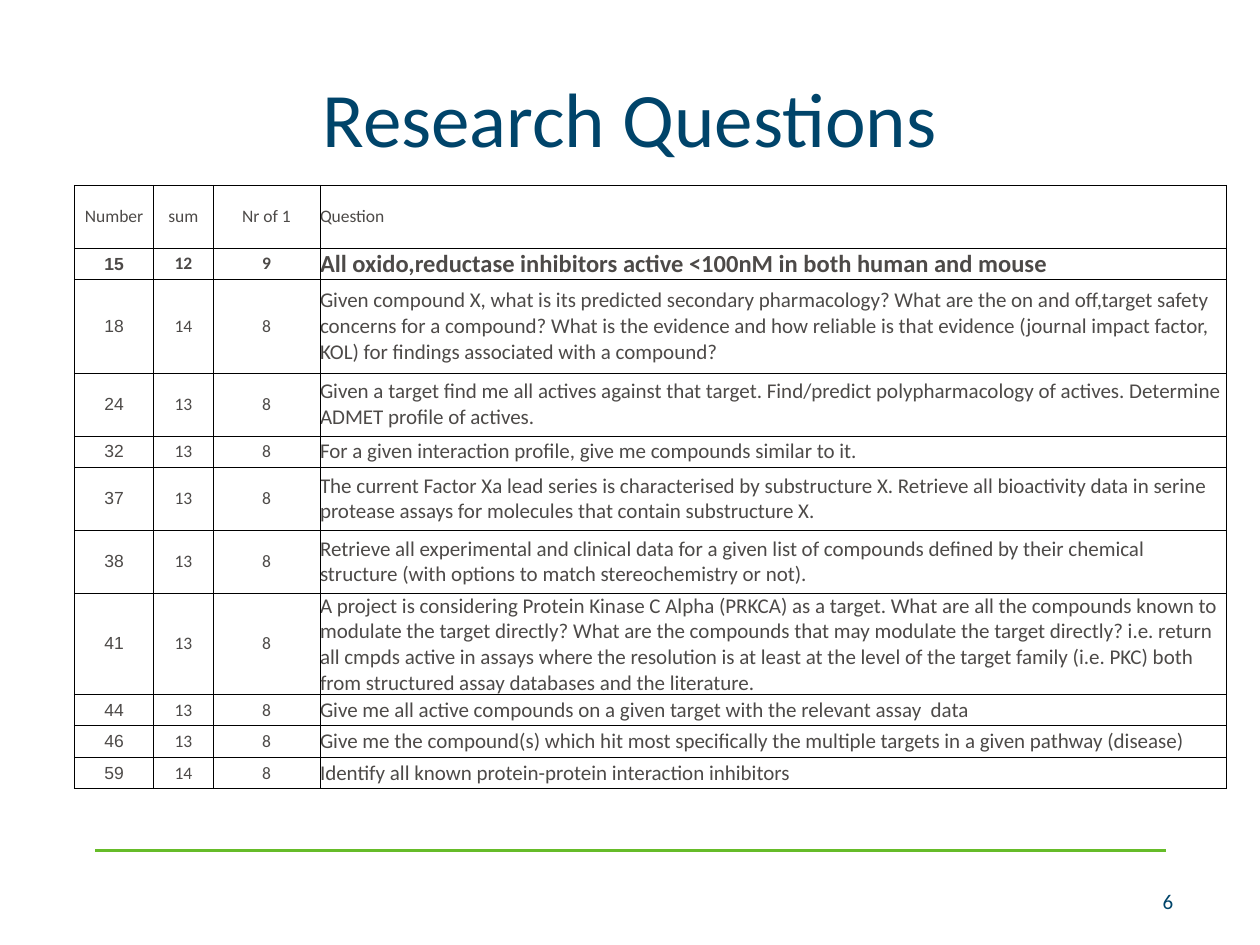
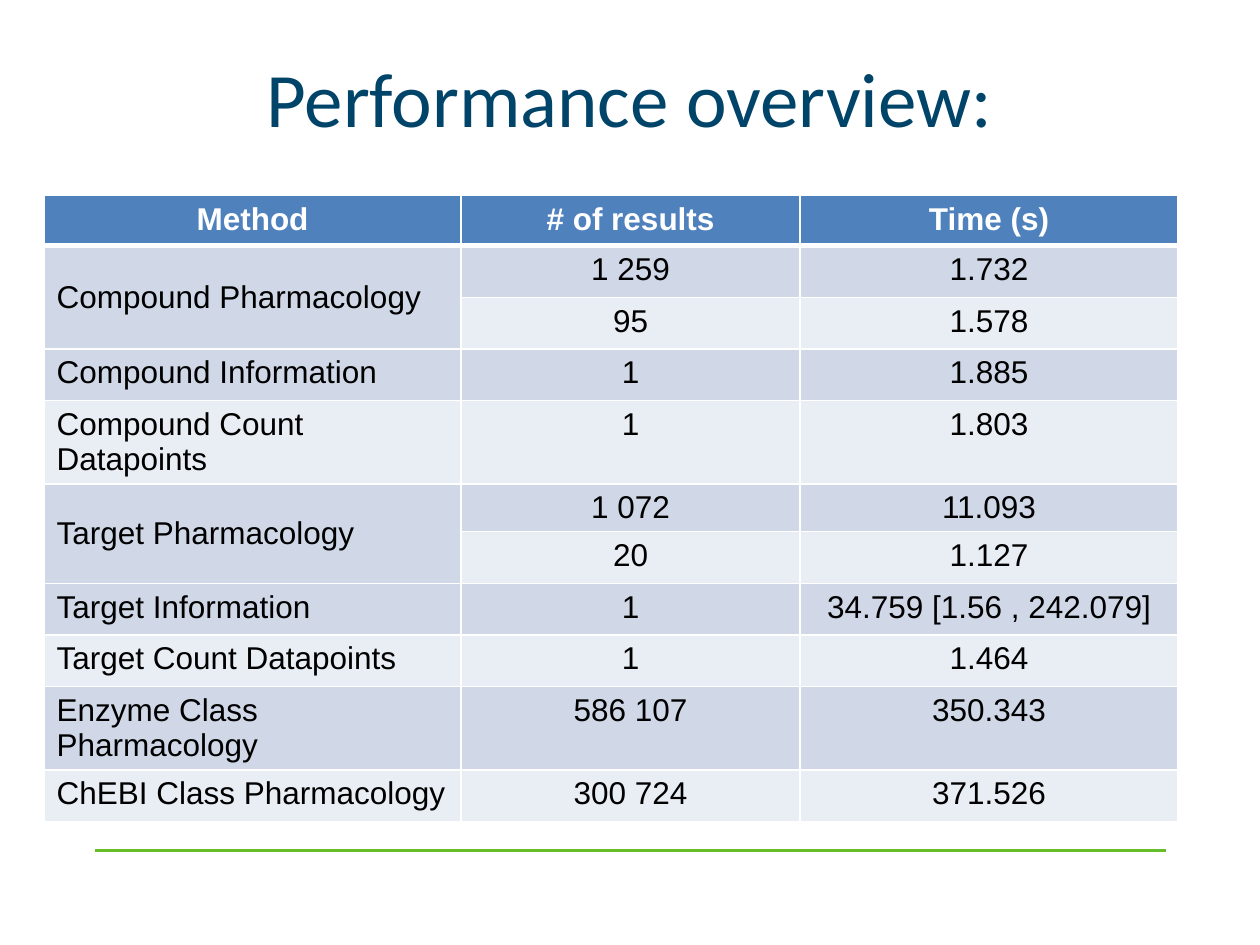
from dataclasses import dataclass

from lxml.etree import SubElement
from pptx import Presentation
from pptx.dml.color import RGBColor
from pptx.enum.shapes import MSO_CONNECTOR
from pptx.enum.text import MSO_ANCHOR, MSO_AUTO_SIZE, PP_ALIGN
from pptx.oxml.ns import qn
from pptx.util import Inches, Pt

COLUMNS, ROWS = 100, 75
TITLE_ONLY = 5

QUESTION_HEADER = ("Number", "sum", "Nr of 1", "Question")
QUESTIONS = [
    (15, 12, 9, "All oxido,reductase inhibitors active <100nM in both human and mouse"),
    (18, 14, 8, "Given compound X, what is its predicted secondary pharmacology? What are the on and "
                "off,target safety concerns for a compound? What is the evidence and how reliable is that "
                "evidence (journal impact factor, KOL) for findings associated with a compound?"),
    (24, 13, 8, "Given a target find me all actives against that target. Find/predict polypharmacology "
                "of actives. Determine ADMET profile of actives."),
    (32, 13, 8, "For a given interaction profile, give me compounds similar to it."),
    (37, 13, 8, "The current Factor Xa lead series is characterised by substructure X. Retrieve all "
                "bioactivity data in serine protease assays for molecules that contain substructure X."),
    (38, 13, 8, "Retrieve all experimental and clinical data for a given list of compounds defined by "
                "their chemical structure (with options to match stereochemistry or not)."),
    (41, 13, 8, "A project is considering Protein Kinase C Alpha (PRKCA) as a target. What are all the "
                "compounds known to modulate the target directly? What are the compounds that may modulate "
                "the target directly? i.e. return all cmpds active in assays where the resolution is at "
                "least at the level of the target family (i.e. PKC) both from structured assay databases "
                "and the literature."),
    (44, 13, 8, "Give me all active compounds on a given target with the relevant assay  data"),
    (46, 13, 8, "Give me the compound(s) which hit most specifically the multiple targets in a given "
                "pathway (disease)"),
    (59, 14, 8, "Identify all known protein-protein interaction inhibitors"),
]
QUESTION_HEIGHTS = [5, 2.5, 7.4, 5, 2.5, 5, 5, 8, 2.5, 2.5, 2.5]

METHOD_HEADER = ("Method", "# of results", "Time (s)")
METHODS = [
    ("Compound Pharmacology", "1 259", "1.732"),
    ("", "95", "1.578"),
    ("Compound Information", "1", "1.885"),
    ("Compound Count Datapoints", "1", "1.803"),
    ("Target Pharmacology", "1 072", "11.093"),
    ("", "20", "1.127"),
    ("Target Information", "1", "34.759 [1.56 , 242.079]"),
    ("Target Count Datapoints", "1", "1.464"),
    ("Enzyme Class Pharmacology", "586 107", "350.343"),
    ("ChEBI Class Pharmacology", "300 724", "371.526"),
]
METHOD_HEIGHTS = [4, 4.1, 4.1, 4.1, 6.6, 3.8, 4.1, 4.1, 4.1, 6.6, 4.1]


@dataclass(frozen=True)
class Theme:
    """Colours, fonts and type sizes of the deck."""

    navy: str = "00446A"
    green: str = "66BC29"
    grey: str = "4D4A48"
    black: str = "000000"
    white: str = "FFFFFF"
    header: str = "4F81BD"
    bands: tuple = ("D0D8E8", "E9EDF4")
    heading_font: str = "Calibri"
    data_font: str = "Arial"
    title: int = 44
    data: int = 18
    strong: int = 14
    body: int = 12
    small: int = 10


class Page:
    """Draws elements on the current slide, measured in grid columns and rows."""

    def __init__(self, deck, theme):
        self.deck, self.theme, self.slide = deck, theme, None

    def across(self, columns):
        """Turn grid columns into a length."""
        return round(self.deck.slide_width * columns / COLUMNS)

    def down(self, rows):
        """Turn grid rows into a length."""
        return round(self.deck.slide_height * rows / ROWS)

    def area(self, left, top, width, height):
        """Turn a grid area into four lengths."""
        return self.across(left), self.down(top), self.across(width), self.down(height)

    def set_text(self, frame, text, size, font, color, align=PP_ALIGN.LEFT, bold=False):
        """Fill a text frame with one formatted paragraph."""
        frame.text = str(text)
        para = frame.paragraphs[0]
        para.alignment = align
        para.font.size, para.font.name, para.font.bold = Pt(size), font, bold
        para.font.color.rgb = RGBColor.from_string(color)

    def start(self, title, top):
        """Open a slide with its title and the footer rule."""
        self.slide = self.deck.slides.add_slide(self.deck.slide_layouts[TITLE_ONLY])
        self.rule(92.5, 7.5, 67.5)
        box = self.slide.shapes.title
        box.left, box.top, box.width, box.height = self.area(5, top, 90, 12.5)
        frame = box.text_frame
        frame.auto_size, frame.vertical_anchor = MSO_AUTO_SIZE.NONE, MSO_ANCHOR.MIDDLE
        self.set_text(frame, title, self.theme.title, self.theme.heading_font, self.theme.navy, PP_ALIGN.CENTER)

    def rule(self, start, end, row):
        """Draw the horizontal footer rule."""
        line = self.slide.shapes.add_connector(
            MSO_CONNECTOR.STRAIGHT, self.across(start), self.down(row), self.across(end), self.down(row))
        line.line.color.rgb = RGBColor.from_string(self.theme.green)
        line.line.width = Pt(2.25)
        SubElement(line._element.spPr, qn("a:effectLst"))

    def number(self, text):
        """Place the page number."""
        box = self.slide.shapes.add_textbox(*self.area(81.9, 69.5, 12.2, 4))
        frame = box.text_frame
        frame.word_wrap, frame.vertical_anchor = True, MSO_ANCHOR.MIDDLE
        self.set_text(frame, text, self.theme.body, self.theme.heading_font, self.theme.navy, PP_ALIGN.RIGHT)

    def table(self, left, top, widths, heights):
        """Add an empty table with the given column widths and row heights."""
        area = self.area(left, top, sum(widths), sum(heights))
        table = self.slide.shapes.add_table(len(heights), len(widths), *area).table
        for column, width in zip(table.columns, widths):
            column.width = self.across(width)
        for row, height in zip(table.rows, heights):
            row.height = self.down(height)
        return table

    def borders(self, cell, color, width, **special):
        """Give a cell solid borders, with special widths by side letter."""
        properties = cell._tc.get_or_add_tcPr()
        for side in "LRTB":
            points = special.get(side, width)
            line = SubElement(properties, qn(f"a:ln{side}"), w=str(Pt(points)))
            fill = SubElement(line, qn("a:solidFill"))
            SubElement(fill, qn("a:srgbClr"), val=color)

    def question_table(self):
        """Draw the ruled table of research questions."""
        theme = self.theme
        table = self.table(5.9, 14.7, [6.3, 4.7, 8.5, 71.9], QUESTION_HEIGHTS)
        for row, values in enumerate([QUESTION_HEADER, *QUESTIONS]):
            question_size = {0: theme.small, 1: theme.strong}.get(row, theme.body)
            for column, value in enumerate(values):
                cell = table.cell(row, column)
                is_question = column == 3
                font = theme.data_font if row and column == 0 else theme.heading_font
                self.set_text(cell.text_frame, value, question_size if is_question else theme.small, font,
                              theme.grey, PP_ALIGN.LEFT if is_question else PP_ALIGN.CENTER, row == 1)
                cell.margin_left = cell.margin_right = cell.margin_top = cell.margin_bottom = 0
                cell.vertical_anchor = MSO_ANCHOR.MIDDLE
                self.borders(cell, theme.black, 0.5)
                cell.fill.background()

    def method_table(self):
        """Draw the banded table of response times."""
        theme = self.theme
        table = self.table(3.5, 15.5, [33.1, 26.9, 30], METHOD_HEIGHTS)
        for row, values in enumerate([METHOD_HEADER, *METHODS]):
            is_header = row == 0
            fill = theme.header if is_header else theme.bands[(row - 1) % 2]
            edges = {0: {"B": 3}, 1: {"T": 3}}.get(row, {})
            for column, value in enumerate(values):
                cell = table.cell(row, column)
                is_centred = is_header or column > 0
                self.set_text(cell.text_frame, value, theme.data, theme.data_font,
                              theme.white if is_header else theme.black,
                              PP_ALIGN.CENTER if is_centred else PP_ALIGN.LEFT, is_header)
                self.borders(cell, theme.white, 1, **edges)
                cell.fill.solid()
                cell.fill.fore_color.rgb = RGBColor.from_string(fill)
            if not values[0]:
                method = table.cell(row - 1, 0)
                method.merge(table.cell(row, 0))
                method.vertical_anchor = MSO_ANCHOR.MIDDLE


def main():
    """Build and save the deck."""
    deck = Presentation()
    deck.slide_width, deck.slide_height = Inches(10), Inches(7.5)
    page = Page(deck, Theme())

    page.start("Research Questions", 3)
    page.number("6")
    page.question_table()

    page.start("Performance overview:", 1.4)
    page.method_table()

    deck.save("out.pptx")


if __name__ == "__main__":
    main()
